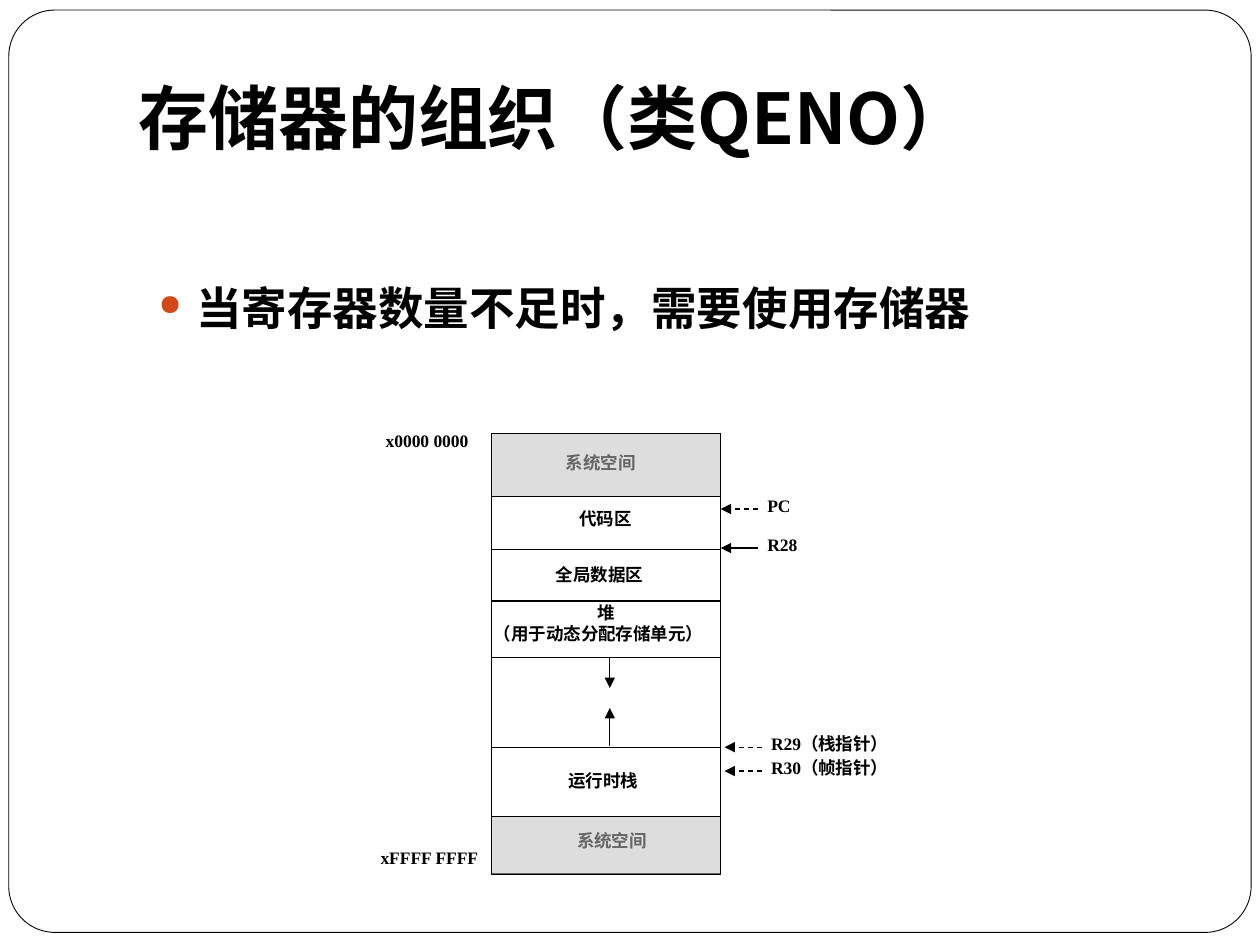
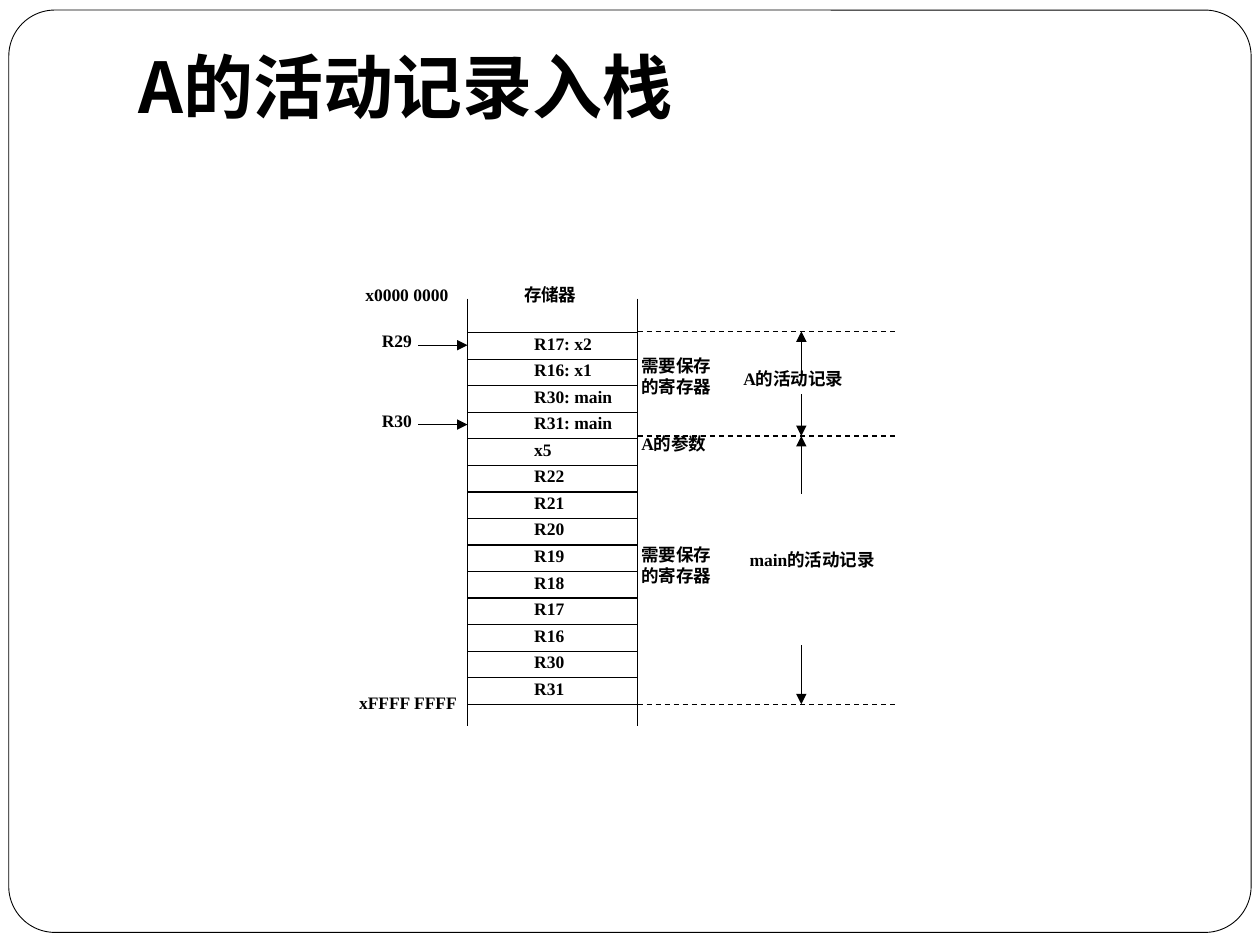
"""Builds two slides on memory layout and the call stack."""
from lxml.etree import SubElement
from pptx import Presentation
from pptx.dml.color import RGBColor
from pptx.enum.dml import MSO_LINE
from pptx.enum.shapes import MSO_CONNECTOR, MSO_SHAPE
from pptx.enum.text import MSO_ANCHOR, PP_ALIGN
from pptx.oxml.ns import qn
from pptx.util import Inches, Pt

HUES = {"ink": "000000", "paper": "FFFFFF", "system": "C0C0C0", "bullet": "D34817"}
SANS, SERIF = "Noto Sans CJK SC", "Times New Roman"
LEFT, MID, TOP = PP_ALIGN.LEFT, MSO_ANCHOR.MIDDLE, MSO_ANCHOR.TOP

TITLES = ("存储器的组织（类QENO）", "A的活动记录入栈")
POINT = "当寄存器数量不足时，需要使用存储器"

MAP = (3.9, 3.44, 1.82, 3.49)
SYSTEM = ((3.44, 0.5), (6.48, 0.46))
CUTS = (4.36, 4.77, 5.22, 5.93)
AREAS = (
    ("系统空间", 4.47, 3.59, 0.63),
    ("代码区", 4.58, 4.03, 0.63),
    ("全局数据区", 4.39, 4.48, 0.85),
    ("运行时栈", 4.49, 6.11, 0.81),
    ("系统空间", 4.56, 6.59, 0.63),
    ("x0000 0000", 3.04, 3.41, 0.85),
    ("xFFFF FFFF", 3, 6.72, 0.91),
)
HEAP = "堆\n（用于动态分配存储单元）"
GROWTH = ((5.22, 5.46), (5.92, 5.62))
MARKS = (
    ("PC", 5.72, 4.04, True),
    ("R28", 5.72, 4.35, False),
    ("R29（栈指针）", 5.75, 5.93, True),
    ("R30（帧指针）", 5.75, 6.12, True),
)

CELLS = ("R17: x2", "R16: x1", "R30: main", "R31: main", "x5", "R22", "R21",
         "R20", "R19", "R18", "R17", "R16", "R30", "R31")
WALLS, RIM = (3.71, 5.06), (2.37, 5.76)
FIRST, LAST = 2.64, 5.59
BOUNDS = (2.63, 3.46, 5.59)
SPANS = ((2.95, 2.63), (3.13, 3.46), (3.92, 3.46), (5.12, 5.59))
POINTERS = (("R29", 2.74), ("R30", 3.37))
NOTES = (
    ("x0000 0000", 2.88, 2.24, 0.95),
    ("存储器", 4.14, 2.24, 0.54),
    ("xFFFF FFFF", 2.83, 5.48, 0.88),
    ("需要保存的寄存器", 5.07, 2.81, 0.67),
    ("A的参数", 5.07, 3.43, 0.82),
    ("需要保存的寄存器", 5.07, 4.31, 0.67),
    ("A的活动记录", 5.88, 2.91, 1.2),
    ("main的活动记录", 5.93, 4.35, 1.2),
)


def color(key):
    return RGBColor.from_string(HUES[key])


def text(slide, words, box, font=SERIF, size=10, inset=(0.02, 0), anchor=TOP,
         aligns=(LEFT,), bullet=False):
    frame = slide.shapes.add_textbox(*map(Inches, box)).text_frame
    frame.word_wrap, frame.vertical_anchor = True, anchor
    frame.margin_left = frame.margin_right = Inches(inset[0])
    frame.margin_top = frame.margin_bottom = Inches(inset[1])
    frame.text = words
    for para, align in zip(frame.paragraphs, aligns):
        para.alignment = align
        if bullet:
            props = para._p.get_or_add_pPr()
            props.set("marL", str(Inches(0.3)))
            props.set("indent", str(Inches(-0.3)))
            tint = SubElement(props, qn("a:buClr"))
            SubElement(tint, qn("a:srgbClr"), val=HUES["bullet"])
            SubElement(props, qn("a:buSzPct"), val="64000")
            SubElement(props, qn("a:buChar"), char="●")
        for run in para.runs:
            run.font.name, run.font.size, run.font.bold = font, Pt(size), True
            run.font.color.rgb = color("ink")
            SubElement(run._r.get_or_add_rPr(), qn("a:ea"), typeface=SANS)


def line(slide, x1, y1, x2, y2, dash=False, arrow=False):
    link = slide.shapes.add_connector(
        MSO_CONNECTOR.STRAIGHT, *map(Inches, (x1, y1, x2, y2)))
    link.line.width, link.line.color.rgb = Pt(0.75), color("ink")
    if dash:
        link.line.dash_style = MSO_LINE.DASH
    if arrow:
        SubElement(link.line._get_or_add_ln(), qn("a:tailEnd"), type="triangle")
    SubElement(link._element.spPr, qn("a:effectLst"))


def block(slide, box, fill=None, alpha=None, kind=MSO_SHAPE.RECTANGLE, width=0.75):
    shape = slide.shapes.add_shape(kind, *map(Inches, box))
    shape.shadow.inherit = False
    shape.line.width, shape.line.color.rgb = Pt(width), color("ink")
    if fill:
        shape.fill.solid()
        shape.fill.fore_color.rgb = color(fill)
    else:
        shape.fill.background()
    if alpha:
        tint = shape._element.spPr.find(".//" + qn("a:srgbClr"))
        SubElement(tint, qn("a:alpha"), val=str(alpha * 1000))
    return shape


def page(deck, title, anchor):
    slide = deck.slides.add_slide(deck.slide_layouts[6])
    frame = block(slide, (0.07, 0.08, 9.86, 7.32), "paper",
                  kind=MSO_SHAPE.ROUNDED_RECTANGLE, width=0.5)
    frame.adjustments[0] = 0.05
    text(slide, title, (1, 0.3, 8.5, 1.25), font=SANS, size=40,
         inset=(0.1, 0.05), anchor=anchor)
    return slide


def memory(deck):
    slide = page(deck, TITLES[0], MID)
    text(slide, POINT, (1.16, 2.17, 7.88, 0.92), font=SANS, size=26,
         inset=(0.1, 0.05), bullet=True)
    left, _, width, _ = MAP
    block(slide, MAP)
    for y in CUTS:
        line(slide, left, y, left + width, y)
    for words, x, y, w in AREAS:
        text(slide, words, (x, y, w, 0.24))
    text(slide, HEAP, (left, 4.78, width, 0.43), aligns=(PP_ALIGN.CENTER, LEFT))
    for start, end in GROWTH:
        line(slide, 4.84, start, 4.84, end, arrow=True)
    for y, high in SYSTEM:
        block(slide, (left, y, width, high), "system", alpha=53)
    for words, x, y, dash in MARKS:
        line(slide, x + 0.3, y, x, y, dash=dash, arrow=True)
        text(slide, words, (x + 0.35, y - 0.11, 1.12, 0.23))


def stack(deck):
    slide = page(deck, TITLES[1], TOP)
    pad = (0.02, 0.01)
    left, right = WALLS
    for x in WALLS:
        line(slide, x, RIM[0], x, RIM[1])
    step = (LAST - FIRST) / len(CELLS)
    for i in range(len(CELLS) + 1):
        y = FIRST + i * step
        line(slide, left, y, right, y)
    for i, words in enumerate(CELLS):
        text(slide, words, (4.22, FIRST + i * step - 0.01, 0.84, 0.25), inset=pad)
    for y in BOUNDS:
        line(slide, right, y, 7.12, y, dash=True)
    for start, end in SPANS:
        line(slide, 6.36, start, 6.36, end, arrow=True)
    for words, y in POINTERS:
        line(slide, left - 0.39, y, left, y, arrow=True)
        text(slide, words, (3.01, y - 0.13, 0.38, 0.25), inset=pad)
    for words, x, y, w in NOTES:
        text(slide, words, (x, y, w, 0.25), inset=pad)


def main():
    deck = Presentation()
    deck.slide_width, deck.slide_height = Inches(10), Inches(7.5)
    memory(deck)
    stack(deck)
    deck.save("out.pptx")


if __name__ == "__main__":
    main()
